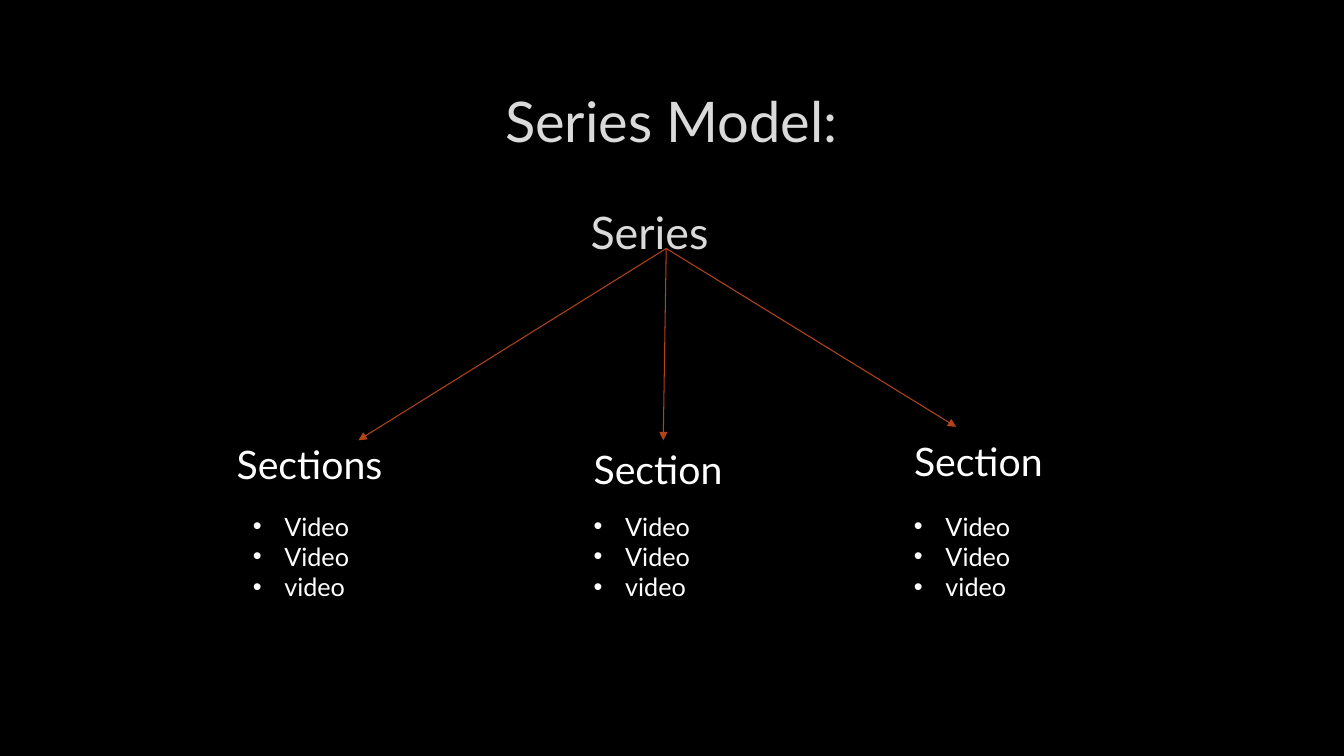
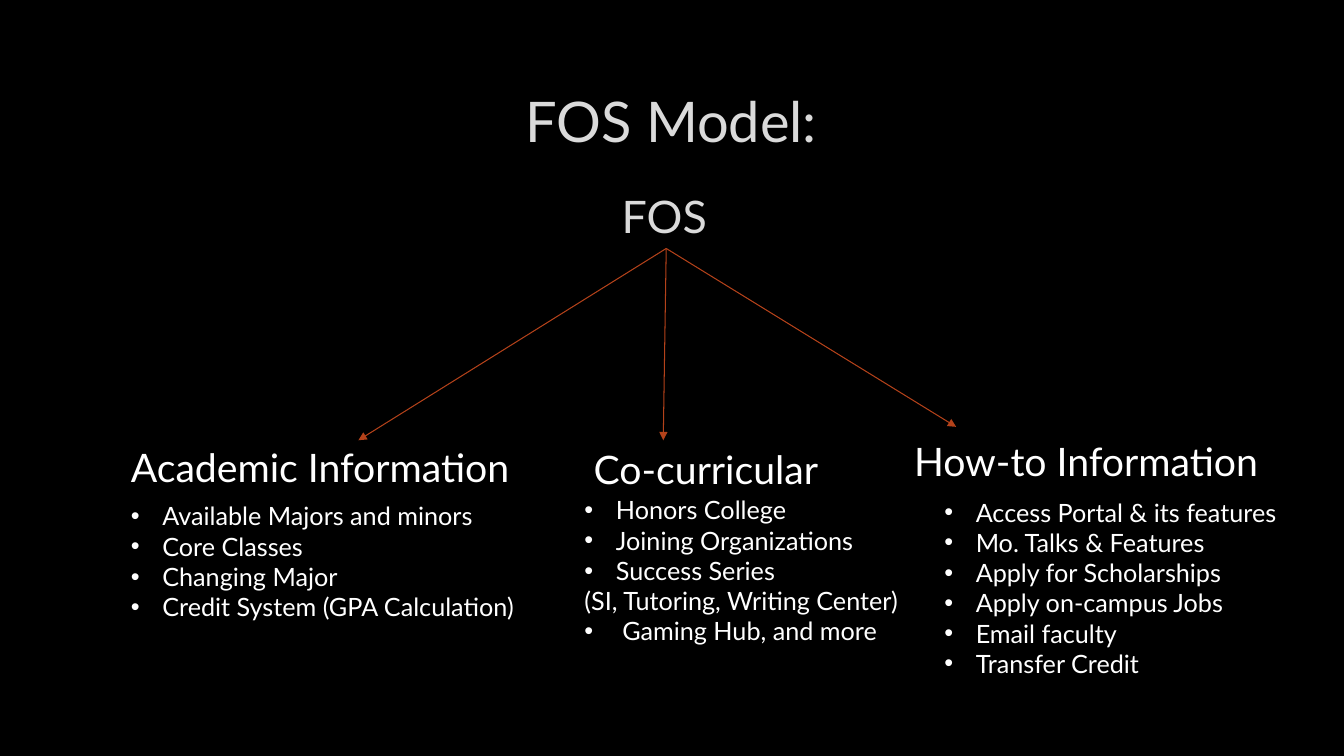
from lxml import etree
from pptx import Presentation
from pptx.dml.color import RGBColor
from pptx.enum import shapes, text
from pptx.oxml import ns
from pptx.util import Pt

BLACK = RGBColor(0x00, 0x00, 0x00)
WHITE = RGBColor(0xFF, 0xFF, 0xFF)
GRAY = RGBColor(0xDA, 0xDA, 0xDA)
RUST = RGBColor(0xB4, 0x42, 0x1A)

TITLE = {"name": "Lato", "size": Pt(40), "color": GRAY}
ROOT = {"name": "Lato", "size": Pt(32), "color": GRAY}
HEAD = {"name": "Lato", "size": Pt(28), "color": WHITE}
ITEM = {"name": "Lato", "size": Pt(18), "color": WHITE}

TREE = (256, 177.5, 427, 137)
TIPS = ((0, 1), (0.51, 1), (1, 0.93))
HANG = 22.5
HANGS = {"(SI, Tutoring, Writing Center)": 0, "Gaming Hub, and more": 27}
VIDEOS = ("Video", "Video", "video")

SLIDES = (
    ("Series Model:", "Series", (414.7, 142.6, 123, 41), (
        ((162, 311, 300, 41), "Sections", (11.5, 50.4, 130), VIDEOS),
        ((417, 314.6, 300, 41), "Section", (0, 46.8, 130), VIDEOS),
        ((645.8, 309, 300, 41), "Section", (0, 52.4, 130), VIDEOS),
    )),
    ("FOS Model:", "FOS", (437, 131, 123, 41), (
        ((86.4, 313.2, 300, 41), "Academic Information", (0, 41, 324), (
            "Available Majors and minors", "Core Classes", "Changing Major",
            "Credit System (GPA Calculation)")),
        ((417, 314.6, 300, 41), "Co-curricular", (-6.6, 35.3, 265), (
            "Honors College", "Joining Organizations", "Success Series",
            "(SI, Tutoring, Writing Center)", "Gaming Hub, and more")),
        ((645.8, 309, 300, 41), "How-to Information", (21.6, 42.4, 284), (
            "Access Portal & its features", "Mo. Talks & Features",
            "Apply for Scholarships", "Apply on-campus Jobs",
            "Email faculty", "Transfer Credit")),
    )),
)


def style(para, form):
    """Apply a dict of font values to a paragraph's runs."""
    for run in para.runs:
        for key, val in form.items():
            if key == "color":
                run.font.color.rgb = val
            else:
                setattr(run.font, key, val)


def bullet(para, hang):
    """Give a paragraph a bullet with a hanging indent."""
    props = para._p.get_or_add_pPr()
    props.set("marL", str(Pt(hang)))
    props.set("indent", str(-Pt(hang)))
    etree.SubElement(props, ns.qn("a:buFont"), typeface="Arial")
    etree.SubElement(props, ns.qn("a:buChar"), char="•")


def label(slide, box, lines, form):
    """Add a text box with one paragraph per line and return its frame."""
    frame = slide.shapes.add_textbox(*map(Pt, box)).text_frame
    frame.word_wrap = True
    frame.text = "\n".join(lines)
    for para in frame.paragraphs:
        style(para, form)
    return frame


def header(slide, box, name):
    """Place and format the title placeholder."""
    title = slide.shapes.title
    for key, val in zip(("left", "top", "width", "height"), box):
        setattr(title, key, Pt(val))
    frame = title.text_frame
    frame.text = name
    frame.vertical_anchor = text.MSO_ANCHOR.MIDDLE
    para = frame.paragraphs[0]
    para.alignment = text.PP_ALIGN.CENTER
    style(para, TITLE)


def arrows(slide, box):
    """Fan arrows out from the top of the box to its tips."""
    left, top, wide, high = box
    start = (left + wide * 0.515, top)
    for across, down in TIPS:
        end = (left + wide * across, top + high * down)
        line = slide.shapes.add_connector(
            shapes.MSO_CONNECTOR.STRAIGHT, *map(Pt, start + end))
        line.line.color.rgb = RUST
        line.line.width = Pt(0.75)
        etree.SubElement(line.line._get_or_add_ln(), ns.qn("a:tailEnd"), type="triangle")
        etree.SubElement(line._element.spPr, ns.qn("a:effectLst"))


def branch(slide, box, head, shift, items):
    """Add a heading in the box and its list at a shift from it."""
    left, top = box[:2]
    right, down, wide = shift
    label(slide, box, [head], HEAD)
    area = (left + right, top + down, wide, 7.2 + 21.6 * len(items))
    for para in label(slide, area, items, ITEM).paragraphs:
        hang = HANGS.get(para.text, HANG)
        if hang:
            bullet(para, hang)


def model(deck, name, root, spot, parts):
    """Build one slide showing a model as a tree."""
    slide = deck.slides.add_slide(deck.slide_layouts[5])
    header(slide, (72, 48, 815, 76), name)
    label(slide, spot, [root], ROOT)
    arrows(slide, TREE)
    for part in parts:
        branch(slide, *part)


def main():
    """Build and save the deck."""
    deck = Presentation()
    deck.slide_width, deck.slide_height = Pt(960), Pt(540)
    fill = deck.slide_master.background.fill
    fill.solid()
    fill.fore_color.rgb = BLACK
    for data in SLIDES:
        model(deck, *data)
    deck.save("out.pptx")


if __name__ == "__main__":
    main()
